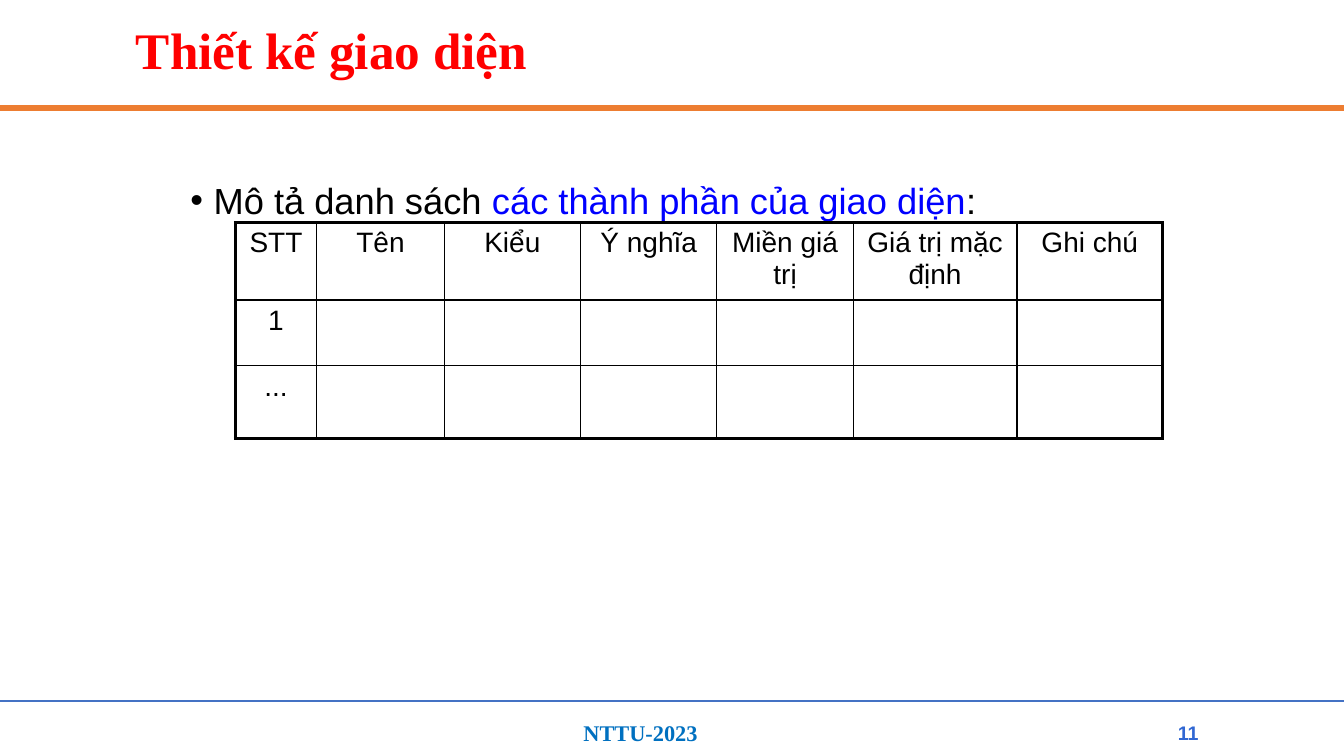
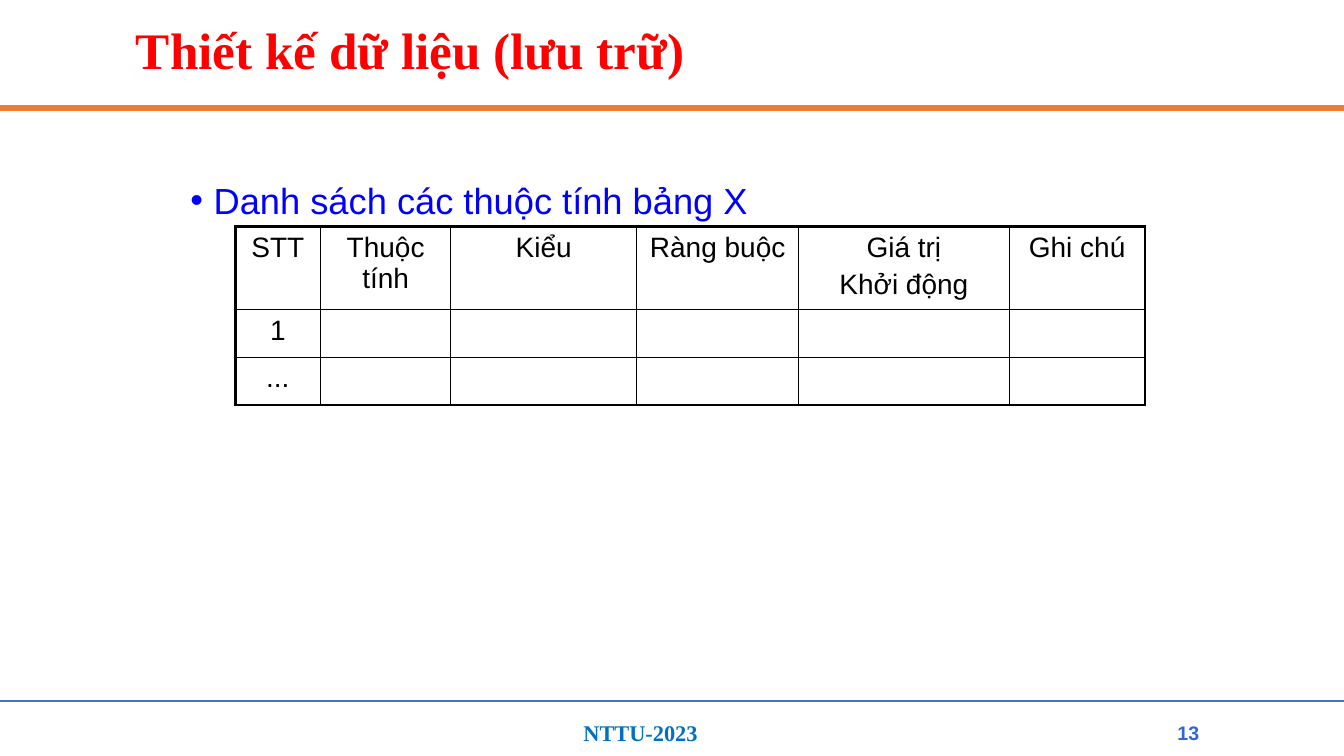
from lxml import etree
from pptx import Presentation, util as u
from pptx.dml import color as dml
from pptx.enum import shapes, text
from pptx.oxml import ns

COLORS = {
    "title": "FF0000", "accent": "ED7D31", "rule": "4472C4", "footer": "0070C0",
    "number": "3167D3", "text": "000000", "highlight": "0000FF",
}
STYLES = {
    "title": {"size": u.Pt(36.6), "name": "Times New Roman", "bold": True},
    "body": {"size": u.Pt(25.9), "name": "Arial", "bold": False},
    "cell": {"size": u.Pt(20), "name": "Arial", "bold": False},
    "footer": {"size": u.Pt(16), "name": "Times New Roman", "bold": True},
    "number": {"size": u.Pt(14), "name": "Arial", "bold": True},
}
WIDTH, HEIGHT = 960, 540
CENTER = text.PP_ALIGN.CENTER
MIDDLE = text.MSO_ANCHOR.MIDDLE


def rgb(color):
    return dml.RGBColor.from_string(COLORS[color])


class SlideBuilder:
    """Hold the shared style and the current slide, and add elements to it."""

    def __init__(self):
        self.deck = Presentation()
        self.deck.slide_width, self.deck.slide_height = u.Pt(WIDTH), u.Pt(HEIGHT)
        self.page = None

    def start_page(self, title, number):
        self.page = self.deck.slides.add_slide(self.deck.slide_layouts[6])
        self.rule(77, "accent", 4.5)
        self.rule(500.5, "rule", 1.5)
        self.textbox((409.7, 510.5, 128, 26.6), [("NTTU-2023", "footer")], "footer")
        para = self.textbox((90, 16.5, 780, 42), [(title, "title")], "title", MIDDLE)
        para.line_spacing = 0.9
        para = self.textbox((832.3, 510.5, 33, 26), [(number, "number")], "number", MIDDLE)
        para.alignment = CENTER

    def rule(self, y, color, weight):
        line = self.page.shapes.add_connector(
            shapes.MSO_CONNECTOR.STRAIGHT, u.Pt(0), u.Pt(y), u.Pt(WIDTH), u.Pt(y))
        line.line.color.rgb = rgb(color)
        line.line.width = u.Pt(weight)
        etree.SubElement(line._element.spPr, ns.qn("a:effectLst"))

    def add_spans(self, para, runs, style):
        for words, color in runs:
            span = para.add_run()
            span.text = words
            for name, value in STYLES[style].items():
                setattr(span.font, name, value)
            span.font.color.rgb = rgb(color)

    def textbox(self, place, runs, style, anchor=text.MSO_ANCHOR.TOP):
        box = self.page.shapes.add_textbox(*map(u.Pt, place))
        box.text_frame.word_wrap = True
        box.text_frame.vertical_anchor = anchor
        para = box.text_frame.paragraphs[0]
        self.add_spans(para, runs, style)
        return para

    def bullet(self, runs):
        para = self.textbox((129, 117.2, 700, 48), runs, "body")
        para.line_spacing = 1.2
        props = para._p.get_or_add_pPr()
        props.set("marL", str(u.Pt(16.5)))
        props.set("indent", str(u.Pt(-16.5)))
        etree.SubElement(props, ns.qn("a:buFont"), typeface="Arial")
        etree.SubElement(props, ns.qn("a:buChar"), char="•")

    def border(self, cell, side, weight):
        line = etree.SubElement(
            cell._tc.get_or_add_tcPr(), ns.qn(f"a:ln{side}"), w=str(u.Pt(weight)))
        fill = etree.SubElement(line, ns.qn("a:solidFill"))
        etree.SubElement(fill, ns.qn("a:srgbClr"), val=COLORS["text"])

    def table(self, top, widths, heights, headers):
        frame = self.page.shapes.add_table(
            len(heights), len(widths), u.Pt(168), u.Pt(top),
            u.Pt(sum(widths)), u.Pt(sum(heights)))
        grid = frame.table
        grid.first_row = grid.horz_banding = False
        for column, width in zip(grid.columns, widths):
            column.width = u.Pt(width)
        for row, height in zip(grid.rows, heights):
            row.height = u.Pt(height)
        blanks = [""] * (len(widths) - 1)
        last_row, last_col = len(heights) - 1, len(widths) - 1
        for r, values in enumerate([headers, ["1", *blanks], ["...", *blanks]]):
            for c, value in enumerate(values):
                cell = grid.cell(r, c)
                cell.margin_left = cell.margin_right = u.Pt(7.5)
                outer = {"L": c == 0, "R": c == last_col, "T": r == 0, "B": r == last_row}
                for side, is_outer in outer.items():
                    self.border(cell, side, 2.25 if is_outer else 1)
                cell.fill.background()
                if value:
                    self.fill_cell(cell, value)

    def fill_cell(self, cell, value):
        frame = cell.text_frame
        for index, words in enumerate(value.split("\n")):
            para = frame.add_paragraph() if index else frame.paragraphs[0]
            para.alignment = CENTER
            if index:
                para.space_before = u.Pt(4)
            self.add_spans(para, [(words, "text")], "cell")


def main():
    builder = SlideBuilder()

    builder.start_page("Thiết kế giao diện", "11")
    builder.bullet([("Mô tả danh sách ", "text"),
                    ("các thành phần của giao diện", "highlight"), (":", "text")])
    builder.table(159, [58.3, 91, 97.4, 97.4, 97.4, 117, 104], [55.3, 47, 52],
                  ["STT", "Tên", "Kiểu", "Ý nghĩa", "Miền giá trị",
                   "Giá trị mặc định", "Ghi chú"])

    builder.start_page("Thiết kế dữ liệu (lưu trữ)", "13")
    builder.bullet([("Danh sách các thuộc tính bảng X", "highlight")])
    builder.table(162, [61, 93, 133, 115.5, 150.5, 97], [56, 34, 34],
                  ["STT", "Thuộc tính", "Kiểu", "Ràng buộc",
                   "Giá trị\nKhởi động", "Ghi chú"])

    builder.deck.save("out.pptx")


if __name__ == "__main__":
    main()
